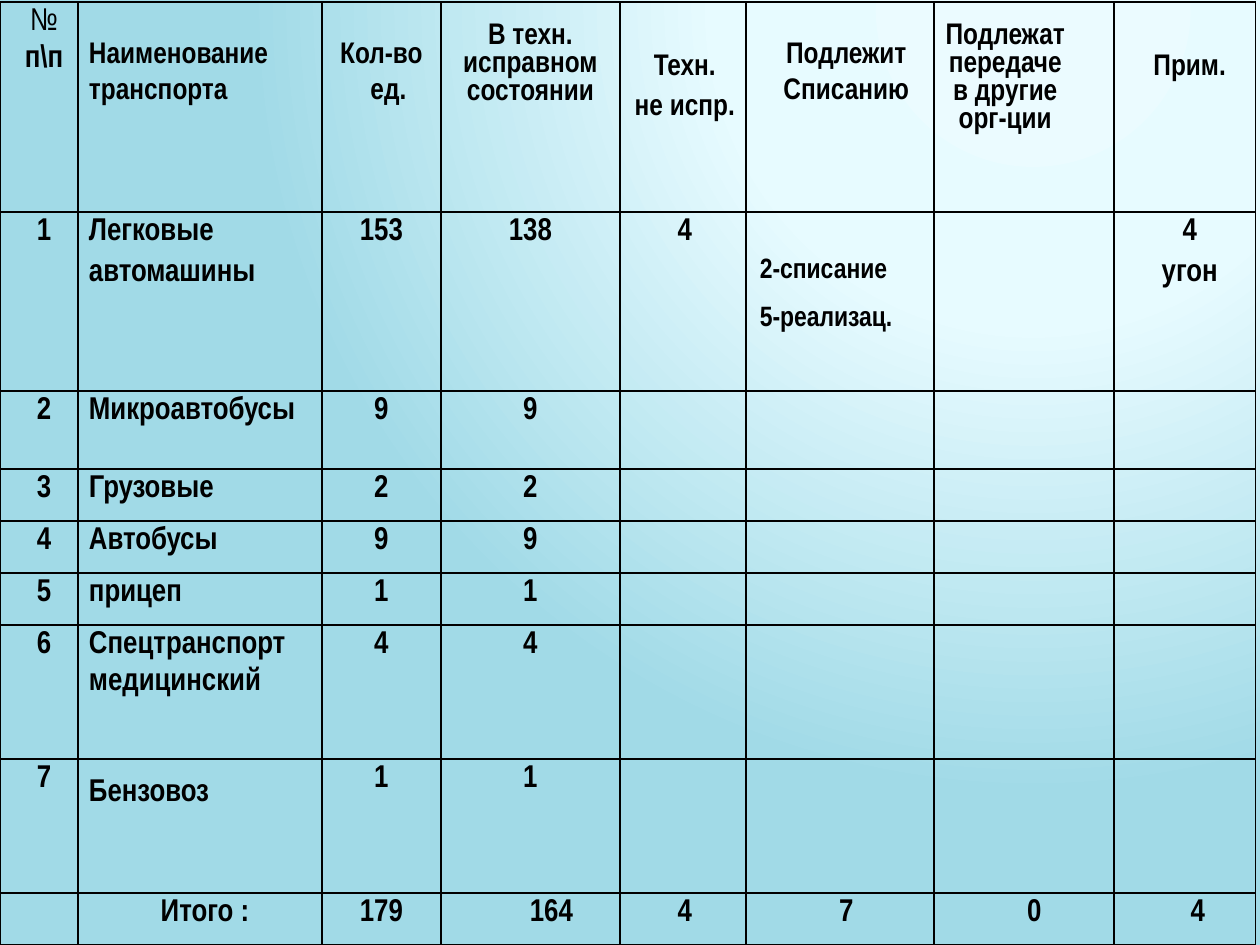
from pptx import Presentation
from pptx.dml.color import RGBColor
from pptx.enum.text import PP_ALIGN
from pptx.oxml import parse_xml
from pptx.oxml.ns import nsdecls
from pptx.util import Pt

PX = 914400 // 126
COLORS = {"text": "000000", "border": "000000"}
FONT = "Arial Narrow"
BACKGROUND_STOPS = [(0, "EBFBFF"), (40, "E7FBFF"), (100, "A1DAE7")]
BACKGROUND_CENTER = {"l": 65, "t": 0, "r": 0, "b": 98}

TABLE_TOP = 2
COLUMN_WIDTHS = [78, 244, 119, 179, 126, 188, 180, 142]
ROW_HEIGHTS = [210, 179, 78, 52, 52, 52, 134, 134, 52]
COLUMN_INDENTS = [10, 10, 0, 0, 4, 13, 10, 10]
NAME_COLUMN = 1

# Each cell is a list of paragraphs
ROWS = [
    [["№", "п\\п"], ["Наименование", "транспорта"], ["Кол-во", "ед."],
     ["В техн.", "исправном состоянии"], ["Техн.", "не испр."],
     ["Подлежит", "Списанию"], ["Подлежат передаче в другие орг-ции"], ["Прим."]],
    [["1"], ["Легковые", "автомашины"], ["153"], ["138"], ["4"],
     ["2-списание", "5-реализац."], [], ["4", "угон"]],
    [["2"], ["Микроавтобусы"], ["9"], ["9"]],
    [["3"], ["Грузовые"], ["2"], ["2"]],
    [["4"], ["Автобусы"], ["9"], ["9"]],
    [["5"], ["прицеп"], ["1"], ["1"]],
    [["6"], ["Спецтранспорт", "медицинский"], ["4"], ["4"]],
    [["7"], ["Бензовоз"], ["1"], ["1"]],
    [[], ["Итого :"], ["179"], ["164"], ["4"], ["7"], ["0"], ["4"]],
]

# top, right and indents in px; size and gap in points; line as a factor or in points
DEFAULT = {"size": 18, "line": 1.15, "gap": 2.1, "top": 1, "right": 1}
HEADER = {"size": 17, "top": 36}
TIGHT = {"line": Pt(11.3), "gap": 11.3, "top": 60}
ROW_FORMATS = {0: HEADER, 1: {"gap": 4.2}}
CELL_FORMATS = {
    (0, 0): {"size": 18, "top": 1, "plain_first": True},
    (0, 2): {"last_indent": 14},
    (0, 3): {"line": 1.0, "gap": 0, "top": 21},
    (0, 4): TIGHT,
    (0, 6): {"line": 1.0, "top": 21, "right": 48},
    (0, 7): TIGHT,
    (1, 5): {"size": 16, "line": Pt(13.7), "gap": 13.7, "top": 49,
             "align": PP_ALIGN.LEFT},
    (7, 1): {"line": Pt(13.7), "top": 25},
    (8, 1): {"align": PP_ALIGN.CENTER},
    (8, 3): {"indent": 42},
    (8, 6): {"indent": 21},
    (8, 7): {"indent": 26},
}


def set_background(slide):
    stops = "".join(
        f'<a:gs pos="{position * 1000}"><a:srgbClr val="{color}"/></a:gs>'
        for position, color in BACKGROUND_STOPS)
    center = " ".join(f'{side}="{value * 1000}"' for side, value in BACKGROUND_CENTER.items())
    slide._element.cSld.insert(0, parse_xml(
        f'<p:bg {nsdecls("p", "a")}><p:bgPr><a:gradFill rotWithShape="1">'
        f'<a:gsLst>{stops}</a:gsLst><a:path path="circle"><a:fillToRect {center}/></a:path>'
        f'</a:gradFill><a:effectLst/></p:bgPr></p:bg>'))


def set_borders(cell):
    properties = cell._tc.get_or_add_tcPr()
    for position, side in enumerate(("lnL", "lnR", "lnT", "lnB")):
        properties.insert(position, parse_xml(
            f'<a:{side} {nsdecls("a")} w="{Pt(1)}"><a:solidFill>'
            f'<a:srgbClr val="{COLORS["border"]}"/></a:solidFill></a:{side}>'))


def format_for(row, column):
    """Merge the default, row and cell formats."""
    base = {"indent": COLUMN_INDENTS[column],
            "align": PP_ALIGN.LEFT if column == NAME_COLUMN else PP_ALIGN.CENTER}
    return {**DEFAULT, **base, **ROW_FORMATS.get(row, {}),
            **CELL_FORMATS.get((row, column), {})}


def fill_cell(cell, texts, style):
    margins = {"margin_left": PX, "margin_right": style["right"] * PX,
               "margin_top": style["top"] * PX, "margin_bottom": 0}
    for name, value in margins.items():
        setattr(cell, name, value)
    cell.fill.background()
    set_borders(cell)
    cell.text = "\n".join(texts)
    last = len(texts) - 1
    for index, paragraph in enumerate(cell.text_frame.paragraphs):
        indent = style["indent"]
        if index == last:
            indent = style.get("last_indent", indent)
        paragraph_format = {"alignment": style["align"], "line_spacing": style["line"],
                            "space_before": Pt(0),
                            "space_after": Pt(style["gap"] if index < last else 0)}
        for name, value in paragraph_format.items():
            setattr(paragraph, name, value)
        paragraph._p.get_or_add_pPr().set("marL", str(indent * PX))
        font_format = {"name": FONT, "size": Pt(style["size"]),
                       "bold": not (index == 0 and style.get("plain_first"))}
        for run in paragraph.runs:
            for name, value in font_format.items():
                setattr(run.font, name, value)
            run.font.color.rgb = RGBColor.from_string(COLORS["text"])


def main():
    presentation = Presentation()
    presentation.slide_width, presentation.slide_height = 1260 * PX, 945 * PX
    slide = presentation.slides.add_slide(presentation.slide_layouts[6])
    set_background(slide)
    table = slide.shapes.add_table(
        len(ROW_HEIGHTS), len(COLUMN_WIDTHS), 0, TABLE_TOP * PX,
        sum(COLUMN_WIDTHS) * PX, sum(ROW_HEIGHTS) * PX).table
    table.first_row = table.horz_banding = False
    for column, width in zip(table.columns, COLUMN_WIDTHS):
        column.width = width * PX
    for row, height in zip(table.rows, ROW_HEIGHTS):
        row.height = height * PX
    for row, cells in enumerate(ROWS):
        for column in range(len(COLUMN_WIDTHS)):
            texts = cells[column] if column < len(cells) else []
            fill_cell(table.cell(row, column), texts, format_for(row, column))
    presentation.save("out.pptx")


if __name__ == "__main__":
    main()
